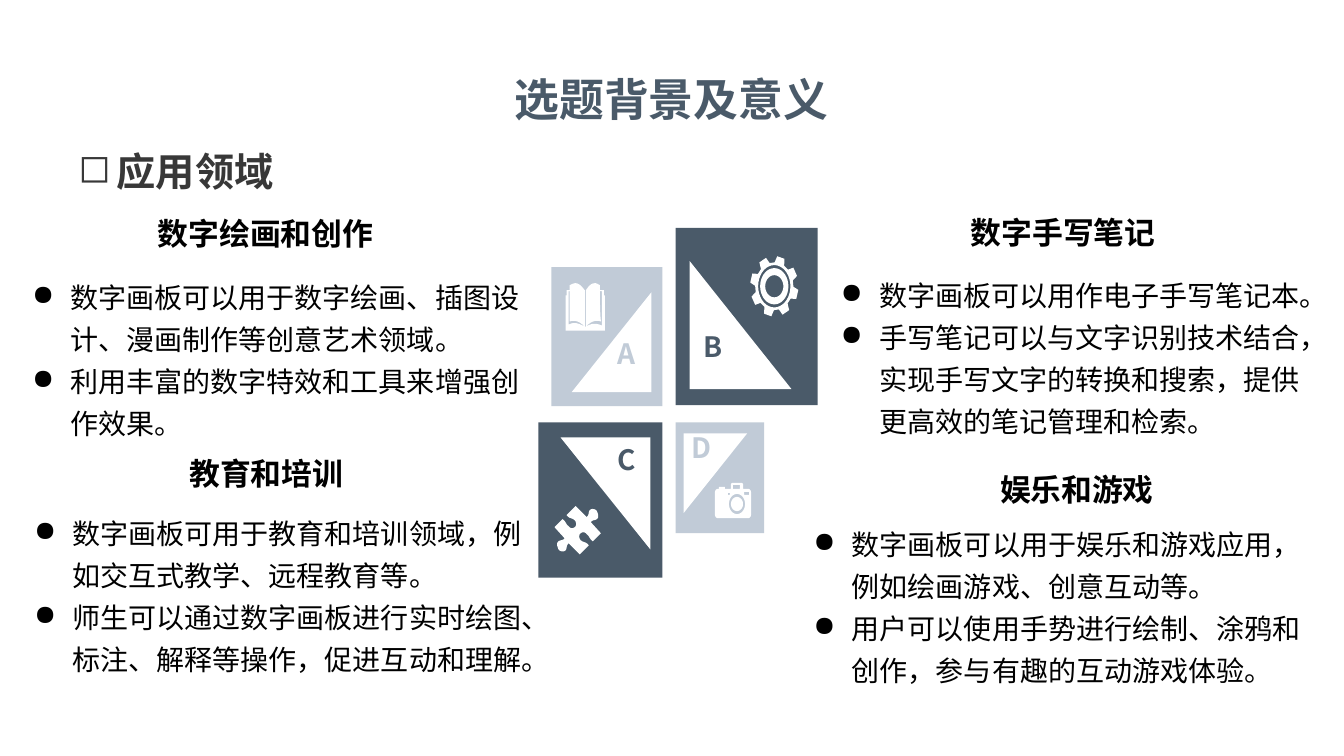
from math import cos, radians, sin

from lxml import etree
from pptx import Presentation
from pptx.dml.color import RGBColor
from pptx.enum.shapes import MSO_SHAPE
from pptx.enum.text import MSO_ANCHOR, MSO_AUTO_SIZE, PP_ALIGN
from pptx.oxml.ns import qn
from pptx.util import Inches, Pt

RECTANGLE, TRIANGLE = MSO_SHAPE.RECTANGLE, MSO_SHAPE.RIGHT_TRIANGLE
LEFT, CENTER, RIGHT = PP_ALIGN.LEFT, PP_ALIGN.CENTER, PP_ALIGN.RIGHT
TOP, GROW = MSO_ANCHOR.TOP, MSO_AUTO_SIZE.SHAPE_TO_FIT_TEXT
SLATE = RGBColor(0x4A, 0x5A, 0x69)
MIST = RGBColor(0xC1, 0xCB, 0xD7)
WHITE = RGBColor(0xFF, 0xFF, 0xFF)
BLACK = RGBColor(0, 0, 0)
CHARCOAL = RGBColor(0x38, 0x38, 0x38)
COLUMNS, ROWS = 13.33, 7.5

TILES = [
    ("A", MIST, (5.47, 2.65, 1.1, 1.38), (5.57, 3, 0.99, 0.79), 270, (5.97, 3.29), MIST),
    ("B", SLATE, (6.7, 2.26, 1.41, 1.76), (6.84, 2.59, 1.01, 1.27), 0, (6.83, 3.22), SLATE),
    ("C", SLATE, (5.34, 4.19, 1.23, 1.54), (5.56, 4.34, 0.89, 1.11), 180, (5.97, 4.34), SLATE),
    ("D", MIST, (6.7, 4.19, 0.88, 1.1), (6.7, 4.38, 0.79, 0.63), 90, (6.71, 4.22), MIST),
]
FIELDS = [
    ("数字绘画和创作", (0.7, 2.08, 3.1, 0.47), RIGHT, (0.22, 2.65, 5.06, 1.75),
     ["数字画板可以用于数字绘画、插图设计、漫画制作等创意艺术领域。",
      "利用丰富的数字特效和工具来增强创作效果。"]),
    ("教育和培训", (1.78, 4.46, 3.1, 0.47), LEFT, (0.24, 4.99, 5.23, 1.75),
     ["数字画板可用于教育和培训领域，例如交互式教学、远程教育等。",
      "师生可以通过数字画板进行实时绘图、标注、解释等操作，促进互动和理解。"]),
    ("数字手写笔记", (9.53, 2.07, 3.1, 0.47), LEFT, (8.24, 2.63, 4.76, 1.75),
     ["数字画板可以用作电子手写笔记本。",
      "手写笔记可以与文字识别技术结合，实现手写文字的转换和搜索，提供更高效的笔记管理和检索。"]),
    ("娱乐和游戏", (9.82, 4.62, 3.1, 0.47), LEFT, (7.97, 5.1, 5.26, 1.75),
     ["数字画板可以用于娱乐和游戏应用，例如绘画游戏、创意互动等。",
      "用户可以使用手势进行绘制、涂鸦和创作，参与有趣的互动游戏体验。"]),
]
BOOK = [
    (5.8, 3.24), (5.81, 3.24), (5.87, 3.21, 5.9, 3.2, 5.97, 3.23), (5.97, 2.89), (5.95, 2.89),
    (5.95, 2.99, 5.95, 3.09, 5.96, 3.19), (5.91, 3.17, 5.86, 3.19, 5.81, 3.24), (5.81, 2.88),
    (5.84, 2.84, 5.86, 2.81, 5.9, 2.81), (5.92, 2.81, 5.93, 2.82, 5.95, 2.83), (5.95, 2.88),
    (5.99, 2.88), (5.99, 2.93), (6, 2.93), (6, 3.28), (5.61, 3.28), (5.61, 2.93), (5.62, 2.93),
    (5.62, 2.88), (5.65, 2.88), (5.65, 2.83), (5.67, 2.82, 5.69, 2.81, 5.71, 2.81),
    (5.74, 2.81, 5.77, 2.84, 5.8, 2.88), (5.8, 3.24), (5.75, 3.19, 5.7, 3.17, 5.65, 3.19),
    (5.65, 2.89), (5.64, 2.89), (5.64, 3.22), (5.7, 3.19, 5.74, 3.21, 5.8, 3.24),
]
HALF_PUZZLE = [
    (5.92, 5.07), (5.93, 5.09, 5.94, 5.12, 5.93, 5.14), (5.91, 5.17, 5.88, 5.15, 5.86, 5.18),
    (5.96, 5.29), (5.88, 5.37), (5.84, 5.34, 5.85, 5.32, 5.82, 5.3),
    (5.8, 5.27, 5.77, 5.28, 5.76, 5.29), (5.74, 5.3, 5.74, 5.34, 5.76, 5.36),
    (5.8, 5.39, 5.81, 5.37, 5.84, 5.41), (5.75, 5.5), (5.64, 5.39),
    (5.61, 5.42, 5.63, 5.43, 5.61, 5.46), (5.59, 5.48, 5.55, 5.47, 5.54, 5.45),
]
CAMERA_BODY = [
    (7.26, 4.79), (7.36, 4.79), (7.37, 4.8), (7.37, 4.85), (7.42, 4.85),
    (7.44, 4.85, 7.45, 4.87, 7.45, 4.89), (7.45, 5.1), (7.45, 5.12, 7.44, 5.14, 7.42, 5.14),
    (7.12, 5.14), (7.1, 5.14, 7.09, 5.12, 7.09, 5.1), (7.09, 4.89),
    (7.09, 4.87, 7.1, 4.85, 7.12, 4.85), (7.13, 4.85), (7.13, 4.83), (7.19, 4.83),
    (7.19, 4.85), (7.25, 4.85), (7.25, 4.8),
]


def polar(center, radii, degrees):
    angle = radians(degrees)
    return center[0] + radii[0] * cos(angle), center[1] + radii[1] * sin(angle)


def ellipse(center, radii):
    return [polar(center, radii, degrees) for degrees in range(0, 360, 10)]


def rectangle(left, top, right, bottom):
    return [(left, top), (right, top), (right, bottom), (left, bottom)]


def half_turn(steps, center):
    return [tuple(2 * center[i % 2] - value for i, value in enumerate(step)) for step in steps]


def flatten(steps):
    points = []
    for step in steps:
        if len(step) == 2:
            points.append(step)
            continue
        nodes = [points[-1], step[:2], step[2:4], step[4:]]
        for t in (k / 6 for k in range(1, 7)):
            weights = ((1 - t) ** 3, 3 * t * (1 - t) ** 2, 3 * t * t * (1 - t), t ** 3)
            points.append(tuple(sum(w * node[axis] for w, node in zip(weights, nodes))
                                for axis in (0, 1)))
    return points


def gear():
    center = (7.68, 2.84)
    corners = ((-15, 0.79), (-9, 1), (9, 1), (15, 0.79))
    rim = [polar(center, (0.24 * reach, 0.3 * reach), tooth * 45 - 29 + turn)
           for tooth in range(8) for turn, reach in corners]
    return [rim] + [ellipse(center, radii) for radii in ((0.16, 0.21), (0.14, 0.18), (0.09, 0.11))]


def camera():
    lens = (7.31, 5)
    return [CAMERA_BODY, ellipse(lens, (0.08, 0.1)), ellipse(lens, (0.06, 0.07)),
            rectangle(7.22, 4.89, 7.24, 4.91), rectangle(7.38, 4.88, 7.43, 4.91),
            rectangle(7.27, 4.81, 7.34, 4.85)]


class SlideMaker:
    """Draws styled elements on one slide, measured in one-inch columns and rows."""

    def __init__(self, deck, font_name):
        self.font_name = font_name
        self.page = deck.slides.add_slide(deck.slide_layouts[5])

    def place(self, shape, box):
        shape.left, shape.top, shape.width, shape.height = map(Inches, box)

    def paint(self, shape, color):
        shape.shadow.inherit = False
        shape.fill.solid()
        shape.fill.fore_color.rgb = color
        shape.line.fill.background()

    def block(self, kind, box, color, rotation=0):
        shape = self.page.shapes.add_shape(kind, *map(Inches, box))
        shape.rotation = rotation
        self.paint(shape, color)

    def icon(self, contours):
        outlines = [[(Inches(x), Inches(y)) for x, y in flatten(steps)] for steps in contours]
        builder = self.page.shapes.build_freeform(*outlines[0][0])
        for index, outline in enumerate(outlines):
            if index:
                builder.move_to(*outline[0])
            builder.add_line_segments(outline[1:], close=True)
        self.paint(builder.convert_to_shape(), WHITE)

    def fill_text(self, frame, lines, size, color, bold=True, align=LEFT, bullet=None, spacing=None):
        frame.vertical_anchor = TOP
        frame.auto_size = GROW
        for index, line in enumerate(lines):
            para = frame.add_paragraph() if index else frame.paragraphs[0]
            para.text = line
            para.alignment = align
            if spacing:
                para.line_spacing = spacing
            if bullet:
                properties = para._p.get_or_add_pPr()
                properties.set("marL", str(Inches(0.38)))
                properties.set("indent", str(-Inches(0.38)))
                etree.SubElement(properties, qn("a:buChar"), char=bullet)
            font = para.font
            font.name, font.size, font.bold = self.font_name, Pt(size), bold
            font.color.rgb = color
            latin = para._p.pPr.find(qn("a:defRPr")).find(qn("a:latin"))
            latin.addnext(etree.Element(qn("a:ea"), typeface=self.font_name))

    def title(self, text, box, size, color):
        holder = self.page.shapes.title
        self.place(holder, box)
        self.fill_text(holder.text_frame, [text], size, color, align=CENTER)
        holder.text_frame.word_wrap = False

    def text(self, lines, box, size, color, **style):
        frame = self.page.shapes.add_textbox(*map(Inches, box)).text_frame
        frame.word_wrap = True
        self.fill_text(frame, lines, size, color, **style)


def main():
    deck = Presentation()
    deck.slide_width, deck.slide_height = Inches(COLUMNS), Inches(ROWS)
    maker = SlideMaker(deck, "Noto Sans CJK SC")
    maker.title("选题背景及意义", (4.99, 0.66, 3.34, 0.64), 32, SLATE)
    maker.text(["应用领域"], (0.68, 1.18, 4.61, 0.67), 28, CHARCOAL, bullet="◻", spacing=1.5)
    for letter, color, tile, triangle, rotation, corner, ink in TILES:
        maker.block(RECTANGLE, tile, color)
        maker.block(TRIANGLE, triangle, WHITE, rotation)
        maker.text([letter], (*corner, 0.49, 0.53), 20, ink, align=CENTER)
    puzzle = HALF_PUZZLE + half_turn(HALF_PUZZLE, (5.73, 5.26))
    for contours in ([BOOK], gear(), [puzzle], camera()):
        maker.icon(contours)
    for heading, heading_box, align, body_box, points in FIELDS:
        maker.text([heading], heading_box, 22, BLACK, align=align)
        maker.text(points, body_box, 20, BLACK, bold=False, bullet="●", spacing=1.25)
    deck.save("out.pptx")


if __name__ == "__main__":
    main()
